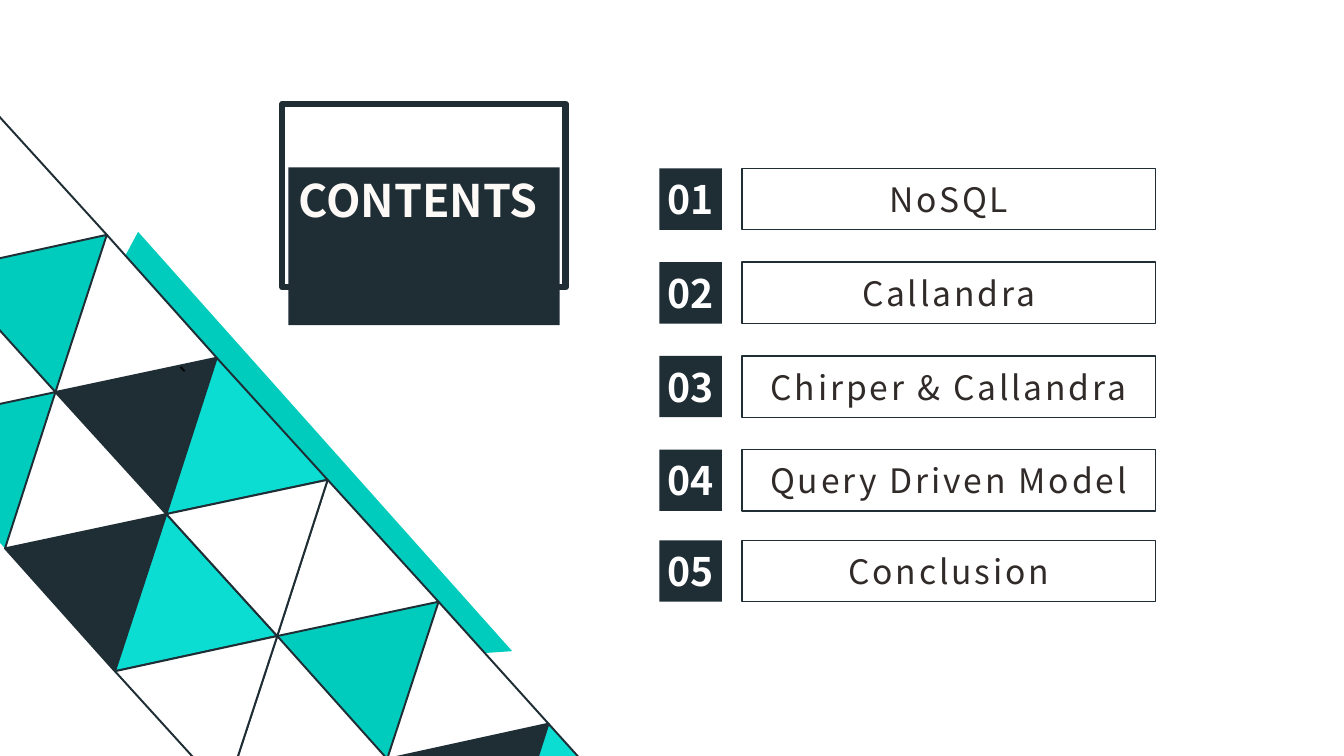
"""Build a contents slide with a triangle band and five numbered chapters."""
import pptx
import pptx.dml.color
import pptx.enum.shapes
import pptx.enum.text
import pptx.util

PX = 9144
THEME = {
    "font": "Noto Sans CJK SC",
    "dark": "1F2D35", "teal": "00CCBD", "cyan": "0BDDD3", "white": "FFFFFF",
    "cream": "FDF9F7", "ink": "302A28", "black": "000000",
    "title": 32, "number": 28, "chapter": 24, "mark": 18,
    "edge": 1.38, "frame": 4.5, "outline": 1,
}
ALIGN = pptx.enum.text.PP_ALIGN
ANCHOR = pptx.enum.text.MSO_ANCHOR
RECTANGLE = pptx.enum.shapes.MSO_SHAPE.RECTANGLE


def paint(shape, fill=None, line=None):
    """Set fill and line; a missing value leaves that part empty."""
    if fill:
        shape.fill.solid()
        shape.fill.fore_color.rgb = pptx.dml.color.RGBColor.from_string(THEME[fill])
    else:
        shape.fill.background()
    if line:
        shape.line.color.rgb = pptx.dml.color.RGBColor.from_string(THEME["dark"])
        shape.line.width = pptx.util.Pt(THEME[line])
    else:
        shape.line.fill.background()


def write(shape, text, size, color, bold=False, align=ALIGN.CENTER, anchor=ANCHOR.MIDDLE):
    """Put one formatted run into the shape and return it."""
    shape.text_frame.vertical_anchor = anchor
    paragraph = shape.text_frame.paragraphs[0]
    paragraph.alignment = align
    run = paragraph.add_run()
    run.text = text
    run.font.name = THEME["font"]
    run.font.size = pptx.util.Pt(THEME[size])
    run.font.bold = bold
    run.font.color.rgb = pptx.dml.color.RGBColor.from_string(THEME[color])
    return run


deck = pptx.Presentation()
deck.slide_width, deck.slide_height = 1333 * PX, 750 * PX
slide = deck.slides.add_slide(deck.slide_layouts[5])

ribbon_path = slide.shapes.build_freeform(137, 230, scale=PX)
ribbon_path.add_line_segments([(508, 646), (169, 669), (-10, 503)])
ribbon = ribbon_path.convert_to_shape()
ribbon.shadow.inherit = False
paint(ribbon, "teal")

vertices = {
    (row, step): (round(-4 - 50.5 * row + 109.7 * step), round(112 + 155.5 * row + 121.3 * step))
    for row in range(3) for step in range(7)
}
bands = [
    (["white", "white", "cyan", "white", "white", "cyan"], ["teal", "dark", "white", "teal", "dark"]),
    (["white", "white", "cyan", "white"], ["teal", "dark", "white"]),
]
triangles = []
for row, (outer, inner) in enumerate(bands):
    for step, color in enumerate(outer):
        triangles.append((color, [(row, step), (row, step + 1), (row + 1, step)]))
    for step, color in enumerate(inner):
        triangles.append((color, [(row, step + 1), (row + 1, step), (row + 1, step + 1)]))
triangles.sort(key=lambda item: ["dark", "teal", "cyan", "white"].index(item[0]))

for color, corners in triangles:
    start, *others = [vertices[corner] for corner in corners]
    triangle_path = slide.shapes.build_freeform(*start, scale=PX)
    triangle_path.add_line_segments(others)
    triangle = triangle_path.convert_to_shape()
    triangle.shadow.inherit = False
    paint(triangle, color, None if color == "teal" else "edge")
    if corners[0] == (0, 2) and color == "cyan":
        write(triangle, "`", "mark", "black", align=ALIGN.LEFT, anchor=ANCHOR.TOP)

frame = slide.shapes.add_shape(RECTANGLE, 280 * PX, 103 * PX, 281 * PX, 182 * PX)
frame.shadow.inherit = False
paint(frame, line="frame")

heading = slide.shapes.title
heading.left, heading.top, heading.width, heading.height = 286 * PX, 166 * PX, 269 * PX, 64 * PX
paint(heading, "dark")
heading.text_frame.word_wrap = False
heading.text_frame.auto_size = pptx.enum.text.MSO_AUTO_SIZE.SHAPE_TO_FIT_TEXT
write(heading, "CONTENTS", "title", "cream", True, ALIGN.LEFT, ANCHOR.TOP)

chapters = [
    (167, "NoSQL"),
    (260, "Callandra"),
    (353, "Chirper & Callandra"),
    (446, "Query Driven Model"),
    (536, "Conclusion"),
]
for number, (top, name) in enumerate(chapters, 1):
    badge = slide.shapes.add_shape(RECTANGLE, 654 * PX, top * PX, 62 * PX, 61 * PX)
    badge.shadow.inherit = False
    paint(badge, "dark")
    inset = badge.text_frame
    inset.margin_left = inset.margin_right = inset.margin_top = inset.margin_bottom = 0
    write(badge, f"{number:02}", "number", "white", True)

    chapter = slide.shapes.add_shape(RECTANGLE, 736 * PX, top * PX, 410 * PX, 61 * PX)
    chapter.shadow.inherit = False
    paint(chapter, line="outline")
    chapter.text_frame.word_wrap = True
    label = write(chapter, name, "chapter", "ink")
    label.font._element.set("spc", "200")

deck.save("out.pptx")
